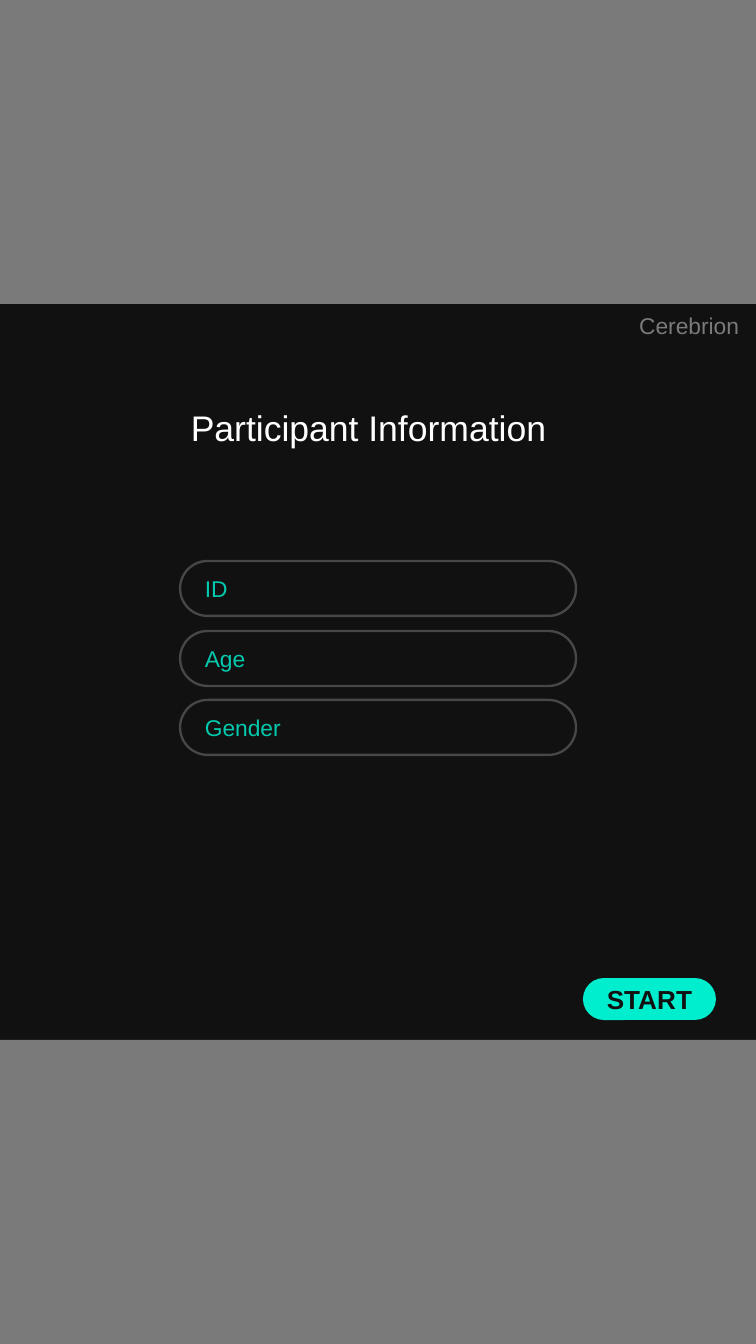
from pptx import Presentation
from pptx import util as u
from pptx.dml.color import RGBColor
from pptx.enum import shapes, text

PX = 5357
WIDTH, HEIGHT = 756, 1344
BAND_HEIGHT = 304

BLACK = RGBColor(0x11, 0x11, 0x11)
GREY = RGBColor(0x7A, 0x7A, 0x7A)
OUTLINE = RGBColor(0x47, 0x47, 0x47)
TEAL = RGBColor(0x03, 0xCA, 0xAE)
MINT = RGBColor(0x00, 0xEE, 0xCD)
WHITE = RGBColor(0xFF, 0xFF, 0xFF)
LEFT, CENTER, RIGHT = text.PP_ALIGN.LEFT, text.PP_ALIGN.CENTER, text.PP_ALIGN.RIGHT


def emu(*lengths):
    return [u.Emu(n * PX) for n in lengths]


def write(sp, words, size, color, align=LEFT, bold=False):
    p = sp.text_frame.paragraphs[0]
    p.alignment = align
    r = p.add_run()
    r.text = words
    r.font.name = "Arial"
    r.font.size = u.Pt(size)
    r.font.bold = bold
    r.font.color.rgb = color


def add_shape(s, kind, box, fill=None, line=None):
    sp = s.shapes.add_shape(kind, *emu(*box))
    sp.shadow.inherit = False
    if fill is None:
        sp.fill.background()
    else:
        sp.fill.solid()
        sp.fill.fore_color.rgb = fill
    if line is None:
        sp.line.fill.background()
    else:
        sp.line.color.rgb = line
        sp.line.width = u.Pt(1)
    return sp


def add_pill(s, box, fill=None, line=None):
    sp = add_shape(s, shapes.MSO_SHAPE.ROUNDED_RECTANGLE, box, fill, line)
    sp.adjustments[0] = 0.5
    sp.text_frame.vertical_anchor = text.MSO_ANCHOR.MIDDLE
    return sp


def add_label(s, box, words, size, color, align=LEFT):
    sp = s.shapes.add_textbox(*emu(*box))
    sp.text_frame.word_wrap = False
    write(sp, words, size, color, align)


def add_header(s, x, y, w):
    add_label(s, (x + w - 148, y - 1, 148, 44), "Cerebrion", 9.6, GREY, RIGHT)
    add_label(s, (x + 174, y + 94, w - 348, 60), "Participant Information", 15, WHITE)


def add_fields(s, x, y, w, h):
    labels = ("ID", "Age", "Gender")
    field_height = 55
    pitch = (h - field_height) / (len(labels) - 1)
    for i, label in enumerate(labels):
        sp = add_pill(s, (x, y + round(i * pitch), w, field_height), line=OUTLINE)
        write(sp, label, 9.6, TEAL)


def add_start_button(s, box):
    sp = add_pill(s, box, fill=MINT)
    sp.text_frame.word_wrap = False
    write(sp, "START", 11, BLACK, CENTER, True)


def add_bands(s, x, y, w, h):
    for top in (y, y + h - BAND_HEIGHT):
        add_shape(s, shapes.MSO_SHAPE.RECTANGLE, (x, top, w, BAND_HEIGHT), GREY)


def main():
    prs = Presentation()
    prs.slide_width, prs.slide_height = emu(WIDTH, HEIGHT)
    s = prs.slides.add_slide(prs.slide_layouts[6])
    s.background.fill.solid()
    s.background.fill.fore_color.rgb = BLACK
    add_fields(s, 180, 561, 396, 194)
    add_header(s, 0, BAND_HEIGHT, WIDTH)
    add_start_button(s, (583, 978, 133, 42))
    add_bands(s, 0, 0, WIDTH, HEIGHT)
    prs.save("out.pptx")


if __name__ == "__main__":
    main()
